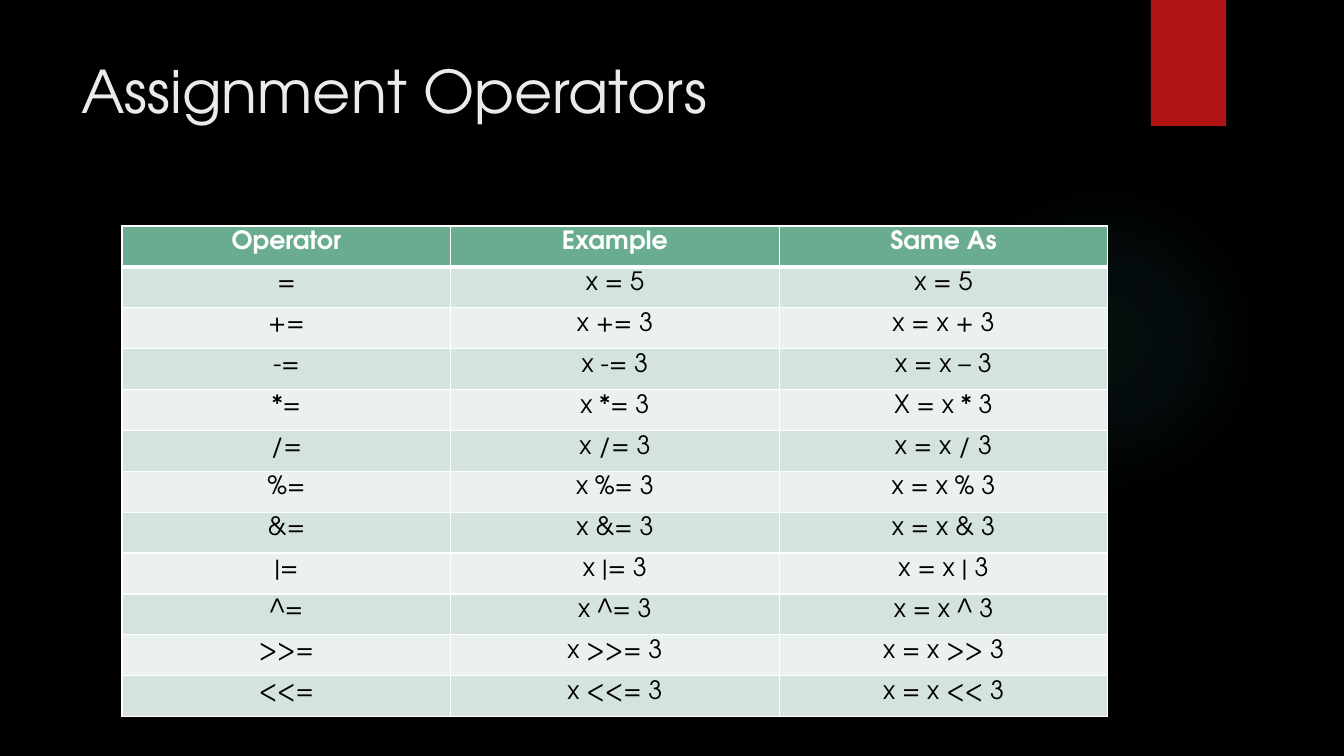
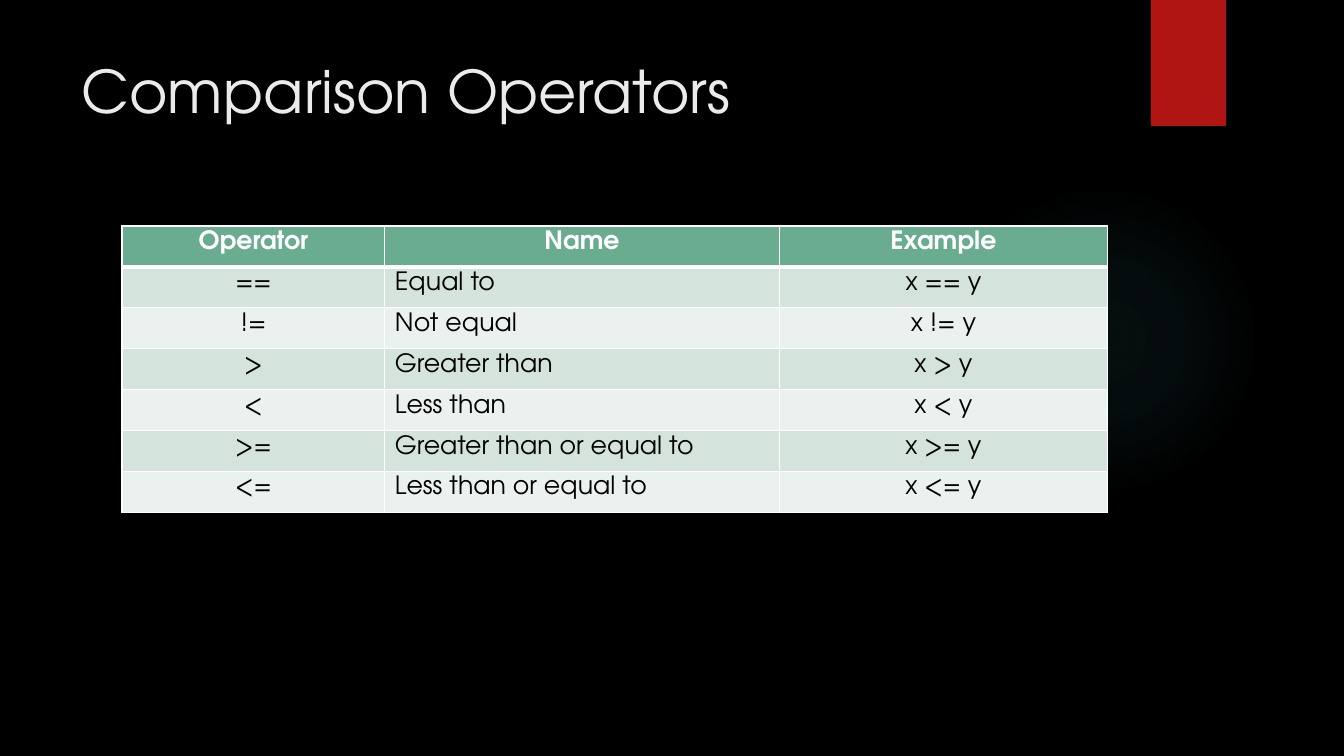
from lxml.etree import SubElement
from pptx import Presentation
from pptx.dml.color import RGBColor
from pptx.enum.shapes import MSO_SHAPE as Preset
from pptx.enum.text import MSO_ANCHOR as Anchor, PP_ALIGN as Align
from pptx.oxml import parse_xml
from pptx.oxml.ns import nsdecls, qn
from pptx.util import Inches, Pt

WIDTH, HEIGHT = Inches(13.33), Inches(7.5)
FONT = "TeX Gyre Adventor"
BLACK = RGBColor(0x00, 0x00, 0x00)
WHITE = RGBColor(0xFF, 0xFF, 0xFF)
TITLE_GREY = RGBColor(0xEB, 0xEB, 0xEB)
RED = RGBColor(0xB0, 0x15, 0x13)
GLOW_TEAL = RGBColor(0x50, 0xB9, 0xC1)
HEADER_GREEN = RGBColor(0x6A, 0xAC, 0x90)
BAND_GREENS = RGBColor(0xD4, 0xE3, 0xDB), RGBColor(0xEB, 0xF1, 0xEE)

# Boxes are left, top, width and height in percent of the slide's size.
GLOW_BOX = 70.58, 24.4, 23.1, 41.07
RIBBON_BOX = 85.63, 0, 5.6, 16.67
TITLE_BOX = 5.32, 6.6, 77.18, 20.4
TABLE_LEFT, TABLE_TOP, TABLE_WIDTH, ROW_HEIGHT = 9.08, 29.9, 73.35, 5.41

GLOW_STOPS = (0, 7), (36, 6), (69, 0)  # position and opacity, in percent
THIN, THICK = Pt(1), Pt(3)

ASSIGNMENT_ROWS = [
    ("Operator", "Example", "Same As"),
    ("=", "x = 5", "x = 5"),
    ("+=", "x += 3", "x = x + 3"),
    ("-=", "x -= 3", "x = x – 3"),
    ("*=", "x *= 3", "X = x * 3"),
    ("/=", "x /= 3", "x = x / 3"),
    ("%=", "x %= 3", "x = x % 3"),
    ("&=", "x &= 3", "x = x & 3"),
    ("|=", "x |= 3", "x = x | 3"),
    ("^=", "x ^= 3", "x = x ^ 3"),
    (">>=", "x >>= 3", "x = x >> 3"),
    ("<<=", "x <<= 3", "x = x << 3"),
]
COMPARISON_ROWS = [
    ("Operator", "Name", "Example"),
    ("==", "Equal to", "x == y"),
    ("!=", "Not equal", "x != y"),
    (">", "Greater than", "x > y"),
    ("<", "Less than", "x < y"),
    (">=", "Greater than or equal to", "x >= y"),
    ("<=", "Less than or equal to", "x <= y"),
]


def across(percent):
    return round(WIDTH * percent / 100)


def down(percent):
    return round(HEIGHT * percent / 100)


def place(box):
    left, top, width, height = box
    return across(left), down(top), across(width), down(height)


def style_font(paragraph, size, color, bold=False):
    font = paragraph.font
    font.name, font.size, font.bold = FONT, Pt(size), bold
    font.color.rgb = color


def add_plain_shape(slide, preset, box, color):
    shape = slide.shapes.add_shape(preset, *place(box))
    shape.shadow.inherit = False
    shape.fill.solid()
    shape.fill.fore_color.rgb = color
    shape.line.fill.background()
    return shape


def add_glow(slide):
    """Add a disc that fades out from its centre."""
    glow = add_plain_shape(slide, Preset.OVAL, GLOW_BOX, GLOW_TEAL)
    stops = "".join(
        f'<a:gs pos="{position * 1000}"><a:srgbClr val="{GLOW_TEAL}">'
        f'<a:alpha val="{opacity * 1000}"/></a:srgbClr></a:gs>'
        for position, opacity in GLOW_STOPS
    )
    gradient = parse_xml(
        f'<a:gradFill {nsdecls("a")}><a:gsLst>{stops}</a:gsLst><a:path path="circle">'
        '<a:fillToRect l="50000" t="50000" r="50000" b="50000"/></a:path></a:gradFill>'
    )
    properties = glow.element.spPr
    properties.replace(properties.find(qn("a:solidFill")), gradient)


def add_title(slide, text):
    frame = slide.shapes.add_textbox(*place(TITLE_BOX)).text_frame
    frame.word_wrap = True
    frame.vertical_anchor = Anchor.TOP
    frame.text = text
    style_font(frame.paragraphs[0], 42, TITLE_GREY)


def add_borders(cell, top, bottom):
    properties = cell._tc.get_or_add_tcPr()
    for side, width in zip("LRTB", (THIN, THIN, top, bottom)):
        line = SubElement(properties, qn(f"a:ln{side}"), w=str(width))
        fill = SubElement(line, qn("a:solidFill"))
        SubElement(fill, qn("a:srgbClr"), val=str(WHITE))


def fill_cell(cell, text, row, alignment):
    is_header = row == 0
    add_borders(cell, THICK if row == 1 else THIN, THICK if is_header else THIN)
    cell.fill.solid()
    cell.fill.fore_color.rgb = HEADER_GREEN if is_header else BAND_GREENS[(row - 1) % 2]
    cell.text = text
    paragraph = cell.text_frame.paragraphs[0]
    paragraph.alignment = Align.CENTER if is_header else alignment
    style_font(paragraph, 18, WHITE if is_header else BLACK, is_header)


def add_operator_table(slide, rows, column_shares, alignments):
    box = TABLE_LEFT, TABLE_TOP, TABLE_WIDTH, ROW_HEIGHT * len(rows)
    table = slide.shapes.add_table(len(rows), len(column_shares), *place(box)).table
    for column, share in zip(table.columns, column_shares):
        column.width = across(TABLE_WIDTH * share / sum(column_shares))
    for row, texts in enumerate(rows):
        table.rows[row].height = down(ROW_HEIGHT)
        for column, (text, alignment) in enumerate(zip(texts, alignments)):
            fill_cell(table.cell(row, column), text, row, alignment)


def add_operator_slide(presentation, title, rows, column_shares, alignments):
    slide = presentation.slides.add_slide(presentation.slide_layouts[6])
    add_glow(slide)
    add_plain_shape(slide, Preset.RECTANGLE, RIBBON_BOX, RED)
    add_title(slide, title)
    add_operator_table(slide, rows, column_shares, alignments)


def main():
    presentation = Presentation()
    presentation.slide_width, presentation.slide_height = WIDTH, HEIGHT
    background = presentation.slide_master.background.fill
    background.solid()
    background.fore_color.rgb = BLACK
    add_operator_slide(presentation, "Assignment Operators", ASSIGNMENT_ROWS,
                       (1, 1, 1), (Align.CENTER,) * 3)
    add_operator_slide(presentation, "Comparison Operators", COMPARISON_ROWS,
                       (4, 6, 5), (Align.CENTER, Align.LEFT, Align.CENTER))
    presentation.save("out.pptx")


if __name__ == "__main__":
    main()
